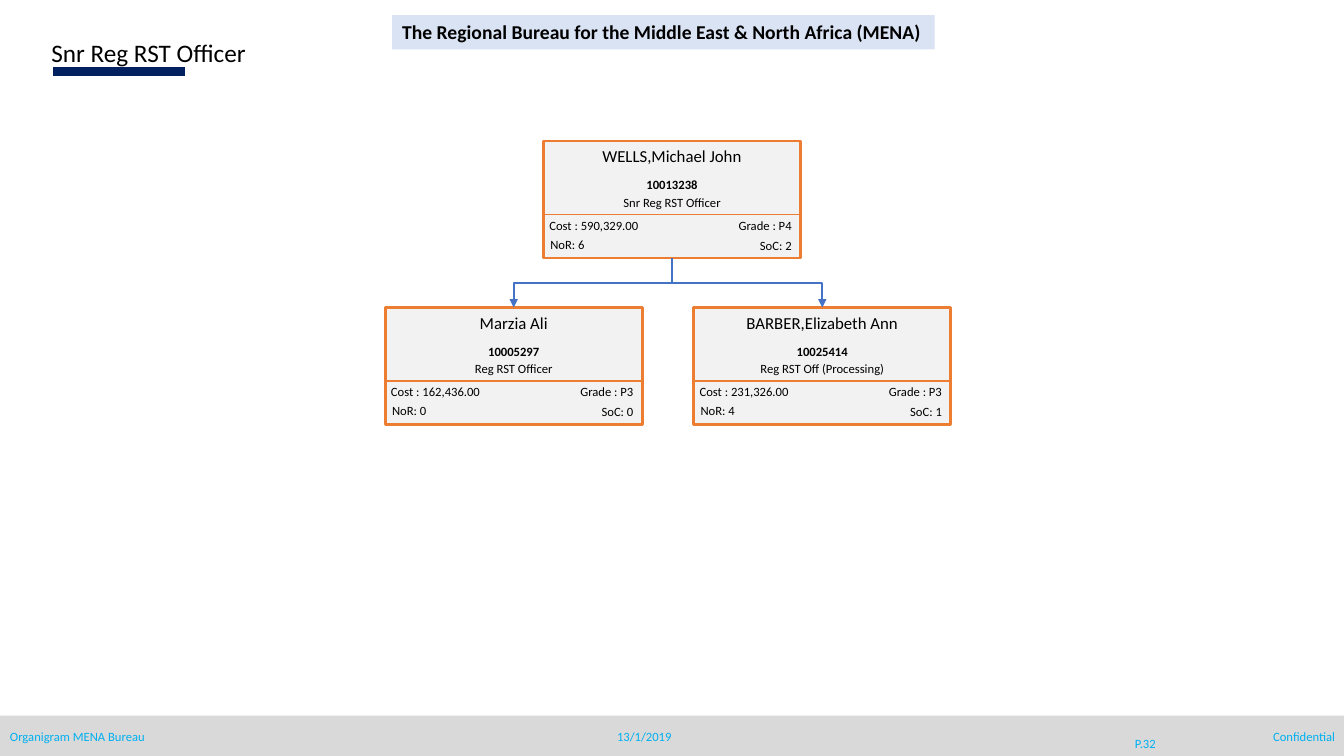
from lxml import etree
from pptx import Presentation
from pptx import util as u
from pptx.dml.color import RGBColor
from pptx.enum import shapes, text
from pptx.oxml.ns import qn

COLORS = {"ink": "000000", "navy": "002060", "band": "D9D9D9", "footer": "00B0F0", "card": "F2F2F2",
          "border": "ED7D31", "link": "4472C4", "banner": "DAE3F3"}
LEFT, CENTER, RIGHT = text.PP_ALIGN.LEFT, text.PP_ALIGN.CENTER, text.PP_ALIGN.RIGHT
TOP, MIDDLE = text.MSO_ANCHOR.TOP, text.MSO_ANCHOR.MIDDLE
CARD_W, CARD_H = 2.55, 1.16
BOSS = (5.39, 1.4, ["WELLS,Michael John", "10013238", "Snr Reg RST Officer",
                    "Cost : 590,329.00", "Grade : P4", "NoR: 6", "SoC: 2"])
REPORTS = [
    (3.82, 3.05, ["Marzia Ali", "10005297", "Reg RST Officer",
                  "Cost : 162,436.00", "Grade : P3", "NoR: 0", "SoC: 0"]),
    (6.88, 3.05, ["BARBER,Elizabeth Ann", "10025414", "Reg RST Off (Processing)",
                  "Cost : 231,326.00", "Grade : P3", "NoR: 4", "SoC: 1"]),
]
CARD_FIELDS = [
    (0, 0, 2.55, 0.31, CENTER, {"size": u.Pt(12)}),
    (0, 0.31, 2.55, 0.25, CENTER, {"bold": True}),
    (0, 0.48, 2.55, 0.25, CENTER, {}),
    (-0.04, 0.71, 1.23, 0.25, LEFT, {}),
    (1.34, 0.71, 1.22, 0.25, RIGHT, {}),
    (-0.03, 0.9, 0.79, 0.25, LEFT, {}),
    (1.54, 0.91, 1.02, 0.25, RIGHT, {}),
]
FOOTER_FIELDS = [
    ("Organigram MENA Bureau", 0, 3.08, 0.25, LEFT, TOP),
    ("Confidential", 10.26, 3.08, 0.25, RIGHT, TOP),
    ("P.32", 10.96, 0.8, 0.4, CENTER, MIDDLE),
    ("13/1/2019", 5.95, 0.88, 0.25, CENTER, MIDDLE),
]


def rgb(name):
    """Return the named colour."""
    return RGBColor.from_string(COLORS[name])


def write(box, words, color="ink", align=LEFT, anchor=TOP, wrap=True, **styles):
    """Put one formatted line of text in a shape."""
    frame = box.text_frame
    frame.word_wrap = wrap
    frame.auto_size = text.MSO_AUTO_SIZE.NONE
    frame.vertical_anchor = anchor
    para = frame.paragraphs[0]
    para.alignment = align
    span = para.add_run()
    span.text = words
    for key, value in {"name": "Calibri", "size": u.Pt(9), **styles}.items():
        setattr(span.font, key, value)
    span.font.color.rgb = rgb(color)


def add_label(page, words, left, top, width, height, **styles):
    """Add a text box holding one line."""
    box = page.shapes.add_textbox(*map(u.Inches, (left, top, width, height)))
    write(box, words, **styles)


def add_panel(page, left, top, width, height, fill, border=None):
    """Add a flat rectangle, with a border if one is named."""
    panel = page.shapes.add_shape(shapes.MSO_SHAPE.RECTANGLE, *map(u.Inches, (left, top, width, height)))
    panel.shadow.inherit = False
    panel.fill.solid()
    panel.fill.fore_color.rgb = rgb(fill)
    if border:
        panel.line.color.rgb = rgb(border)
        panel.line.width = u.Pt(2)
    else:
        panel.line.fill.background()
    return panel


def add_line(page, start, end, color, width, kind=shapes.MSO_CONNECTOR.STRAIGHT):
    """Add a connector without a shadow."""
    line = page.shapes.add_connector(kind, *map(u.Inches, (*start, *end)))
    line.line.color.rgb = rgb(color)
    line.line.width = u.Pt(width)
    etree.SubElement(line.element.spPr, qn("a:effectLst"))
    return line


def add_branch(page, start, end):
    """Add an elbow arrow that leaves downwards and arrives downwards."""
    across, drop = end[0] - start[0], end[1] - start[1]
    left = (start[0] + end[0] - drop) / 2
    top = (start[1] + end[1] - abs(across)) / 2
    branch = add_line(page, (left, top), (left + drop, top + abs(across)), "link", 1.5,
                      shapes.MSO_CONNECTOR.ELBOW)
    frame = branch.element.spPr.find(qn("a:xfrm"))
    frame.set("rot", str((270 if across > 0 else 90) * 60000))
    if across > 0:
        frame.set("flipH", "1")
    outline = branch.element.spPr.find(qn("a:ln"))
    etree.SubElement(outline, qn("a:tailEnd"), type="triangle")


def add_card(page, left, top, entries):
    """Draw one staff card with its divider and seven entries."""
    add_panel(page, left, top, CARD_W, CARD_H, "card", "border")
    add_line(page, (left, top + 0.73), (left + CARD_W, top + 0.73), "border", 1)
    for words, (dx, dy, width, height, align, styles) in zip(entries, CARD_FIELDS):
        add_label(page, words, left + dx, top + dy, width, height, align=align, **styles)


def add_chart_tree(page):
    """Draw the manager, the reports and the arrows between them."""
    add_card(page, *BOSS)
    start = (BOSS[0] + CARD_W / 2, BOSS[1] + CARD_H)
    for left, top, entries in REPORTS:
        add_card(page, left, top, entries)
        add_branch(page, start, (left + CARD_W / 2, top))


def add_header(page):
    """Place the title, its underline and the bureau banner."""
    title = page.shapes.title
    for key, value in {"left": 0.41, "top": 0.32, "width": 5.3, "height": 0.41}.items():
        setattr(title, key, u.Inches(value))
    add_line(page, (0.53, 0.71), (1.84, 0.71), "navy", 7)
    write(title, "Snr Reg RST Officer", size=u.Pt(18))
    banner = add_panel(page, 3.89, 0.15, 5.38, 0.34, "banner")
    write(banner, "The Regional Bureau for the Middle East & North Africa (MENA)",
          wrap=False, size=u.Pt(14), bold=True)


def add_footer(page, top):
    """Draw the grey band and its labels."""
    add_panel(page, 0, top, 13.33, 0.41, "band")
    for words, left, width, height, align, anchor in FOOTER_FIELDS:
        add_label(page, words, left, top + 0.08, width, height, color="footer", align=align, anchor=anchor)


def main():
    """Build the slide and save it."""
    deck = Presentation()
    deck.slide_width, deck.slide_height = u.Inches(13.33), u.Inches(7.5)
    page = deck.slides.add_slide(deck.slide_layouts[5])
    add_footer(page, 7.1)
    add_header(page)
    add_chart_tree(page)
    deck.save("out.pptx")


if __name__ == "__main__":
    main()
